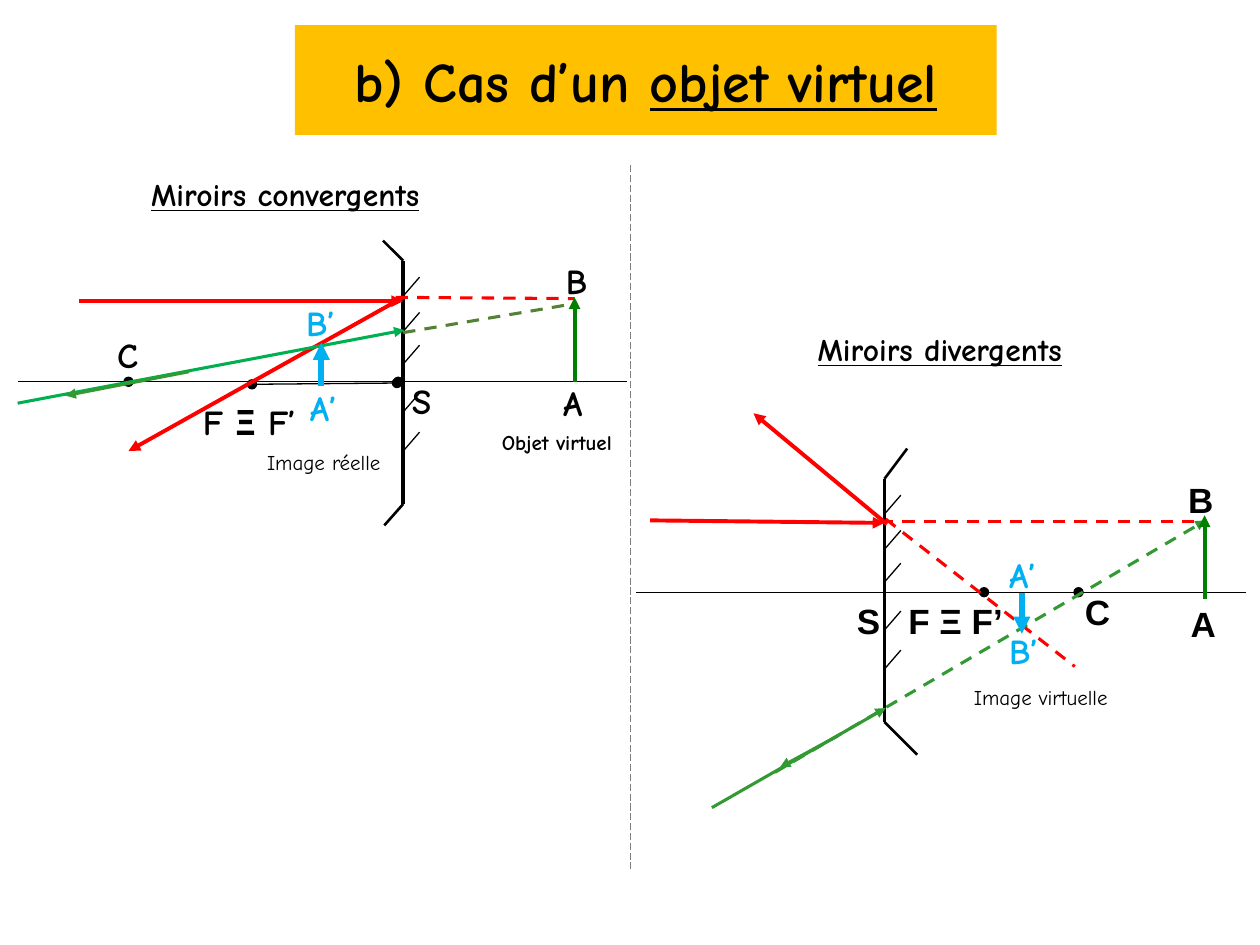
from lxml import etree
from pptx import Presentation
from pptx.dml.color import RGBColor
from pptx.enum.dml import MSO_LINE
from pptx.enum.shapes import MSO_CONNECTOR
from pptx.enum.text import MSO_ANCHOR, MSO_AUTO_SIZE, PP_ALIGN
from pptx.oxml.ns import qn
from pptx.util import Inches, Pt

STRAIGHT = MSO_CONNECTOR.STRAIGHT
DASH, LONG = MSO_LINE.DASH, MSO_LINE.LONG_DASH
TOP, MIDDLE = MSO_ANCHOR.TOP, MSO_ANCHOR.MIDDLE
LEFT, CENTER = PP_ALIGN.LEFT, PP_ALIGN.CENTER
FIXED = MSO_AUTO_SIZE.NONE

THEME = {
    "font": "Comic Neue", "plain": "Arial",
    "black": "000000", "gold": "FFC000", "grey": "7F7F7F", "red": "FF0000",
    "blue": "00B0F0", "green": "008000", "leaf": "339933", "lime": "00B050",
    "olive": "548235",
    "title": 32, "head": 18, "mark": 20, "note": 12,
    "thin": 0.75, "edge": 1.5, "dash": 1.75, "bold": 2.25, "image": 3.25,
}

# Content: text and left, top, width, height
TITLE = [("b) Cas d’un ", False), ("objet virtuel", True)]
HEADS = [
    ("Miroirs convergents", (1.1, 1.34, 2.68, 0.4), True),
    ("Miroirs divergents", (6.39, 2.57, 2.15, 0.4), False),
]
NOTES = [
    ("Image réelle", (1.91, 3.52, 1.32, 0.3), False),
    ("Objet virtuel", (3.8, 3.36, 1.24, 0.3), True),
    ("Image virtuelle", (7.6, 5.38, 1.32, 0.3), False),
]

# Point labels: text, left, top, colour, font
MARKS = [
    ("B", 4.49, 2.06, "black", "font"),
    ("S", 3.27, 3.01, "black", "font"),
    ("C", 0.93, 2.65, "black", "font"),
    ("A", 4.47, 3.03, "black", "font"),
    ("F Ξ F’", 1.61, 3.18, "black", "font"),
    ("A’", 2.46, 3.07, "blue", "font"),
    ("B’", 2.43, 2.39, "blue", "font"),
    ("B", 9.43, 3.8, "black", "plain"),
    ("F Ξ F’", 7.21, 4.76, "black", "plain"),
    ("S", 6.8, 4.76, "black", "plain"),
    ("C", 8.61, 4.69, "black", "plain"),
    ("A", 9.45, 4.78, "black", "plain"),
    ("A’", 8.01, 4.39, "blue", "font"),
    ("B’", 8.01, 5, "blue", "font"),
]

# Mirrors: x, top, tip of the upper edge, tip of the lower edge
MIRRORS = [
    (3.2, 2.07, (3.04, 1.91), (3.05, 4.17)),
    (7.02, 3.8, (7.2, 3.56), (7.28, 5.99)),
]
TALL = 1.93
HATCH = [0.13, 0.41, 0.67, 1.05, 1.36]
SIDE, DROP = 0.13, 0.15

# Optical axes: start, end, end mark
AXES = [
    ((0.14, 3.03), (4.98, 3.03), None),
    ((3.16, 3.03), (1.02, 3.03), "oval"),
    ((3.15, 3.04), (2, 3.05), "oval"),
    ((5.05, 4.7), (9.89, 4.7), None),
    ((8.56, 4.7), (7.81, 4.7), "oval"),
]

# Arrows point at their second point: start, end, colour, width
ARROWS = [
    ((4.56, 3.03), (4.56, 2.36), "green", "bold"),
    ((0.63, 2.39), (3.2, 2.39), "red", "bold"),
    ((3.2, 2.36), (1.02, 3.58), "red", "bold"),
    ((0.14, 3.2), (3.21, 2.62), "lime", "dash"),
    ((1.5, 2.95), (0.52, 3.14), "leaf", "dash"),
    ((2.55, 3.06), (2.55, 2.72), "blue", "image"),
    ((8.11, 4.71), (8.11, 5.03), "blue", "image"),
    ((9.56, 4.75), (9.56, 4.09), "green", "bold"),
    ((5.16, 4.13), (7.02, 4.15), "red", "bold"),
    ((6.65, 5.84), (6.19, 6.09), "leaf", "dash"),
    ((5.65, 6.41), (7.03, 5.62), "leaf", "dash"),
    ((7.04, 4.16), (5.98, 3.28), "red", "bold"),
]

# Dashed extensions: start, end, colour, end mark
DASHES = [
    ((3.14, 2.36), (4.56, 2.37), "red", None),
    ((3.2, 2.64), (4.56, 2.41), "olive", None),
    ((6.99, 4.14), (9.57, 4.14), "red", None),
    ((6.15, 6.13), (9.57, 4.13), "leaf", "triangle"),
    ((7.03, 4.12), (8.53, 5.29), "red", None),
]


def tint(name):
    return RGBColor.from_string(THEME[name])


def place(shape, box):
    shape.left, shape.top, shape.width, shape.height = map(Inches, box)


def write(shape, runs, size, color="black", font="font", bold=True,
          align=LEFT, anchor=TOP, pad=(0.1, 0.05), wrap=True):
    frame = shape.text_frame
    frame.word_wrap, frame.auto_size = wrap, FIXED
    frame.vertical_anchor = anchor
    frame.margin_left = frame.margin_right = Inches(pad[0])
    frame.margin_top = frame.margin_bottom = Inches(pad[1])
    para = frame.paragraphs[0]
    para.alignment = align
    for text, under in runs:
        run = para.add_run()
        run.text = text
        run.font.name, run.font.size = THEME[font], Pt(THEME[size])
        run.font.bold, run.font.underline = bold, under
        run.font.color.rgb = tint(color)


def label(slide, text, box, size, under=False, **style):
    shape = slide.shapes.add_textbox(*map(Inches, box))
    write(shape, [(text, under)], size, **style)


def draw(slide, start, end, color="black", width="thin", dash=None,
         head=None, tail=None):
    link = slide.shapes.add_connector(STRAIGHT, *map(Inches, start + end))
    link.line.color.rgb = tint(color)
    link.line.width = Pt(THEME[width])
    if dash is not None:
        link.line.dash_style = dash
    stroke = link.line._get_or_add_ln()
    for tag, kind in (("a:headEnd", head), ("a:tailEnd", tail)):
        if kind:
            etree.SubElement(stroke, qn(tag), type=kind)
    etree.SubElement(stroke.getparent(), qn("a:effectLst"))


def mirror(slide, x, top, upper, lower):
    foot = top + TALL
    draw(slide, (x, top), (x, foot), width="bold")
    draw(slide, (x, top), upper, width="edge")
    draw(slide, (x, foot), lower, width="edge")
    for step in HATCH:
        y = top + step
        draw(slide, (x + SIDE, y), (x, y + DROP))


def main():
    deck = Presentation()
    deck.slide_width, deck.slide_height = Inches(10), Inches(7.5)
    slide = deck.slides.add_slide(deck.slide_layouts[5])

    # Title band and divider
    title = slide.shapes.title
    place(title, (2.34, 0.2, 5.57, 0.87))
    title.fill.solid()
    title.fill.fore_color.rgb = tint("gold")
    write(title, TITLE, "title", align=CENTER, anchor=MIDDLE)
    THEME["hair"] = 0.5
    draw(slide, (5, 1.31), (5, 6.9), "grey", "hair", LONG)

    # Headings, captions and point labels
    for text, box, wrap in HEADS:
        label(slide, text, box, "head", under=True, wrap=wrap)
    for text, box, bold in NOTES:
        label(slide, text, box, "note", bold=bold, align=CENTER)
    for text, x, y, color, font in MARKS:
        wide = 0.87 if len(text) > 2 else 0.49
        label(slide, text, (x, y, wide, 0.33), "mark", color=color,
              font=font, pad=(0, 0))

    # Axes and mirrors
    for start, end, kind in AXES:
        draw(slide, start, end, head=kind, tail=kind)
    for item in MIRRORS:
        mirror(slide, *item)

    # Rays, object and image arrows
    for start, end, color, kind in DASHES:
        draw(slide, start, end, color, "dash", DASH, tail=kind)
    for start, end, color, width in ARROWS:
        draw(slide, start, end, color, width, tail="triangle")

    deck.save("out.pptx")


if __name__ == "__main__":
    main()
